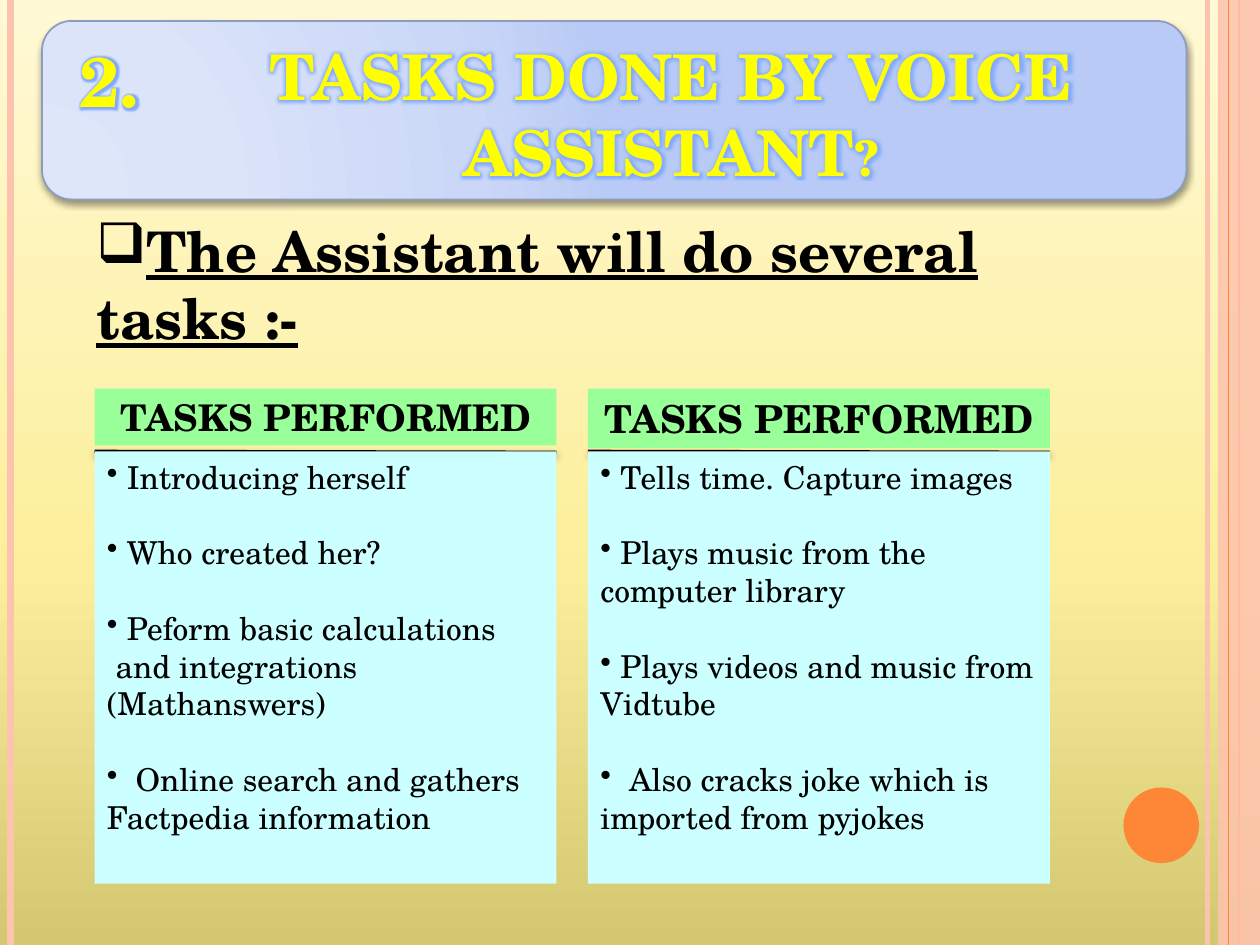
"""Build the slide that lists the tasks a voice assistant performs."""
from dataclasses import dataclass

from lxml.etree import SubElement
from pptx import Presentation
from pptx.dml.color import RGBColor
from pptx.enum.shapes import MSO_CONNECTOR, MSO_SHAPE
from pptx.enum.text import MSO_AUTO_SIZE, PP_ALIGN
from pptx.oxml import parse_xml
from pptx.oxml.ns import qn
from pptx.util import Pt

FONT = "TeX Gyre Schola"
NS = 'xmlns:a="http://schemas.openxmlformats.org/drawingml/2006/main"'
WIDTH, HEIGHT = 720, 540
PINK, ORANGE, YELLOW, BLACK = "FEC3AE", "FE8637", "FFFF00", "000000"
CENTER, LEFT = PP_ALIGN.CENTER, PP_ALIGN.LEFT
SHADOW = (
    f'<a:effectLst {NS}><a:outerShdw blurRad="50800" dist="25400" dir="5400000" rotWithShape="0">'
    '<a:srgbClr val="000000"><a:alpha val="40000"/></a:srgbClr></a:outerShdw></a:effectLst>'
)
GLOW = f'<a:effectLst {NS}><a:glow rad="63500"><a:srgbClr val="83AAFF"/></a:glow></a:effectLst>'
OUTLINE = f'<a:ln {NS} w="12700"><a:solidFill><a:srgbClr val="{YELLOW}"/></a:solidFill></a:ln>'


@dataclass(frozen=True)
class Box:
    """A rectangle in points."""
    left: float
    top: float
    width: float
    height: float

    def lengths(self) -> tuple:
        """Return the sides as slide lengths."""
        return Pt(self.left), Pt(self.top), Pt(self.width), Pt(self.height)


@dataclass(frozen=True)
class Words:
    """A run of text with its look."""
    text: str
    size: float
    color: str = BLACK
    bold: bool = False
    underline: bool = False
    glowing: bool = False


@dataclass(frozen=True)
class Line:
    """A paragraph of runs with bullet and gap after it."""
    runs: tuple
    align: PP_ALIGN = LEFT
    bullet: str = ""
    gap: float = 0


@dataclass(frozen=True)
class TaskColumn:
    """A headed column of tasks."""
    left: float
    heading_size: float
    heading_height: float
    tasks: tuple


@dataclass(frozen=True)
class Stripe:
    """A vertical stripe at the slide's edge."""
    x: float
    weight: float
    color: str


def rgb(value: str) -> RGBColor:
    """Turn a hex string into a colour."""
    return RGBColor.from_string(value)


def gradient(stops: tuple, direction: str):
    """Make a gradient fill element."""
    marks = "".join(
        f'<a:gs pos="{at * 1000}"><a:srgbClr val="{color}"/></a:gs>' for at, color in stops)
    return parse_xml(f'<a:gradFill {NS} rotWithShape="1"><a:gsLst>{marks}</a:gsLst>{direction}</a:gradFill>')


def set_alpha(fill_owner, percent: int) -> None:
    """Make the first colour of an element partly transparent."""
    color = next(fill_owner.iter(qn("a:srgbClr")))
    SubElement(color, qn("a:alpha")).set("val", str(percent * 1000))


def add_rule(slide, start: tuple, end: tuple, color: str, weight: float, effects: str):
    """Draw a straight line."""
    rule = slide.shapes.add_connector(MSO_CONNECTOR.STRAIGHT, *map(Pt, start + end))
    rule.line.color.rgb = rgb(color)
    rule.line.width = Pt(weight)
    rule._element.spPr.append(parse_xml(effects))
    return rule


def add_plain(slide, kind: MSO_SHAPE, box: Box, color: str):
    """Draw a filled shape with no outline."""
    shape = slide.shapes.add_shape(kind, *box.lengths())
    shape.shadow.inherit = False
    shape.fill.solid()
    shape.fill.fore_color.rgb = rgb(color)
    shape.line.fill.background()
    return shape


def add_run(paragraph, words: Words) -> None:
    """Append one formatted run."""
    run = paragraph.add_run()
    run.text = words.text
    font = run.font
    font.name, font.size = FONT, Pt(words.size)
    font.bold, font.underline = words.bold, words.underline
    font.color.rgb = rgb(words.color)
    if words.glowing:
        properties = run._r.get_or_add_rPr()
        properties.insert(0, parse_xml(OUTLINE))
        properties.insert(2, parse_xml(GLOW))


def add_text(slide, box: Box, lines: tuple, fill: str = "") -> None:
    """Add a text box, filled if a colour is given."""
    holder = slide.shapes.add_textbox(*box.lengths())
    if fill:
        holder.fill.solid()
        holder.fill.fore_color.rgb = rgb(fill)
    frame = holder.text_frame
    frame.word_wrap = True
    frame.auto_size = MSO_AUTO_SIZE.SHAPE_TO_FIT_TEXT
    for index, line in enumerate(lines):
        paragraph = frame.add_paragraph() if index else frame.paragraphs[0]
        paragraph.alignment = line.align
        paragraph.space_after = Pt(line.gap)
        if line.bullet:
            SubElement(paragraph._p.get_or_add_pPr(), qn("a:buChar")).set("char", line.bullet)
        for words in line.runs:
            add_run(paragraph, words)


def task(text: str, bullet: str = "•", gap: float = 21.6) -> Line:
    """Describe one line of a task list."""
    return Line((Words(text, 18),), bullet=bullet, gap=gap)


def add_backdrop(slide) -> None:
    """Draw the background, edge stripes and disc."""
    fill = slide.background.fill
    fill.solid()
    solid = next(slide._element.iter(qn("a:solidFill")))
    stops = ((0, "D3C772"), (40, "FCEF9B"), (100, "FFF9D5"))
    solid.getparent().replace(solid, gradient(stops, '<a:lin ang="16200000" scaled="0"/>'))
    stripes = (Stripe(690, 3, PINK), Stripe(6, 4.5, PINK), Stripe(708, 1.5, ORANGE))
    for stripe in stripes:
        add_stripe(slide, stripe)
    band = add_plain(slide, MSO_SHAPE.RECTANGLE, Box(696, 0, 24, HEIGHT), PINK)
    set_alpha(band._element.spPr, 87)
    add_stripe(slide, Stripe(702, 0.75, ORANGE))
    add_plain(slide, MSO_SHAPE.OVAL, Box(642, 450, 43.2, 43.2), ORANGE)


def add_stripe(slide, stripe: Stripe) -> None:
    """Draw one full-height stripe."""
    add_rule(slide, (stripe.x, 0), (stripe.x, HEIGHT), stripe.color, stripe.weight, f"<a:effectLst {NS}/>")


def add_title(slide) -> None:
    """Draw the title panel, its number and its wording."""
    panel = add_plain(slide, MSO_SHAPE.ROUNDED_RECTANGLE, Box(24, 12, 654, 102), "B8CAF5")
    properties = panel._element.spPr
    stops = ((0, "DEE6FA"), (30, "DBE4F9"), (75, "CAD7F7"), (100, "B8CAF5"))
    focus = '<a:path path="circle"><a:fillToRect l="5000" t="100000" r="120000" b="10000"/></a:path>'
    properties.replace(properties.find(qn("a:solidFill")), gradient(stops, focus))
    panel.line.color.rgb = rgb("8D9CBF")
    panel.line.width = Pt(1)
    properties.replace(properties.find(qn("a:effectLst")), parse_xml(SHADOW))
    title = (Words("TASKS DONE BY VOICE ASSISTANT", 36, YELLOW, True, glowing=True),
             Words("?", 28, YELLOW, True, glowing=True))
    add_text(slide, Box(30, 18, 707, 94.5), (Line(title, CENTER),))
    number = Words(" 2.", 40, YELLOW, True, glowing=True)
    add_text(slide, Box(0, 18, 114, 55.5), (Line((number,), CENTER),))


def add_column(slide, column: TaskColumn) -> None:
    """Draw a column's rule, heading and tasks."""
    width, top = 264, 258
    add_rule(slide, (column.left, top), (column.left + width, top + 0.5), BLACK, 2, SHADOW)
    heading = Words("TASKS PERFORMED", column.heading_size, bold=True)
    add_text(slide, Box(column.left, 222, width, column.heading_height), (Line((heading,), CENTER),), "99FF99")
    add_text(slide, Box(column.left, top, width, 247), column.tasks, "CCFFFF")


def main() -> None:
    """Build and save the slide."""
    deck = Presentation()
    deck.slide_width, deck.slide_height = Pt(WIDTH), Pt(HEIGHT)
    slide = deck.slides.add_slide(deck.slide_layouts[6])
    add_backdrop(slide)
    add_title(slide)
    intro = Words("The Assistant will do several tasks :-", 32, bold=True, underline=True)
    add_text(slide, Box(48, 120, 534, 106.5), (Line((intro,), bullet="❑"),))
    columns = (
        TaskColumn(54, 21, 32.5, (
            task(" Introducing herself"), task(" Who created her?"),
            task(" Peform basic calculations", gap=0),
            task(" and integrations (Mathanswers)", bullet=""),
            task("  Online search and gathers Factpedia information", gap=0))),
        TaskColumn(336, 22, 34, (
            task(" Tells time. Capture images"), task(" Plays music from the computer library"),
            task(" Plays videos and music from Vidtube"),
            task("  Also cracks joke which is imported from pyjokes", gap=0))),
    )
    for column in columns:
        add_column(slide, column)
    deck.save("out.pptx")


if __name__ == "__main__":
    main()
